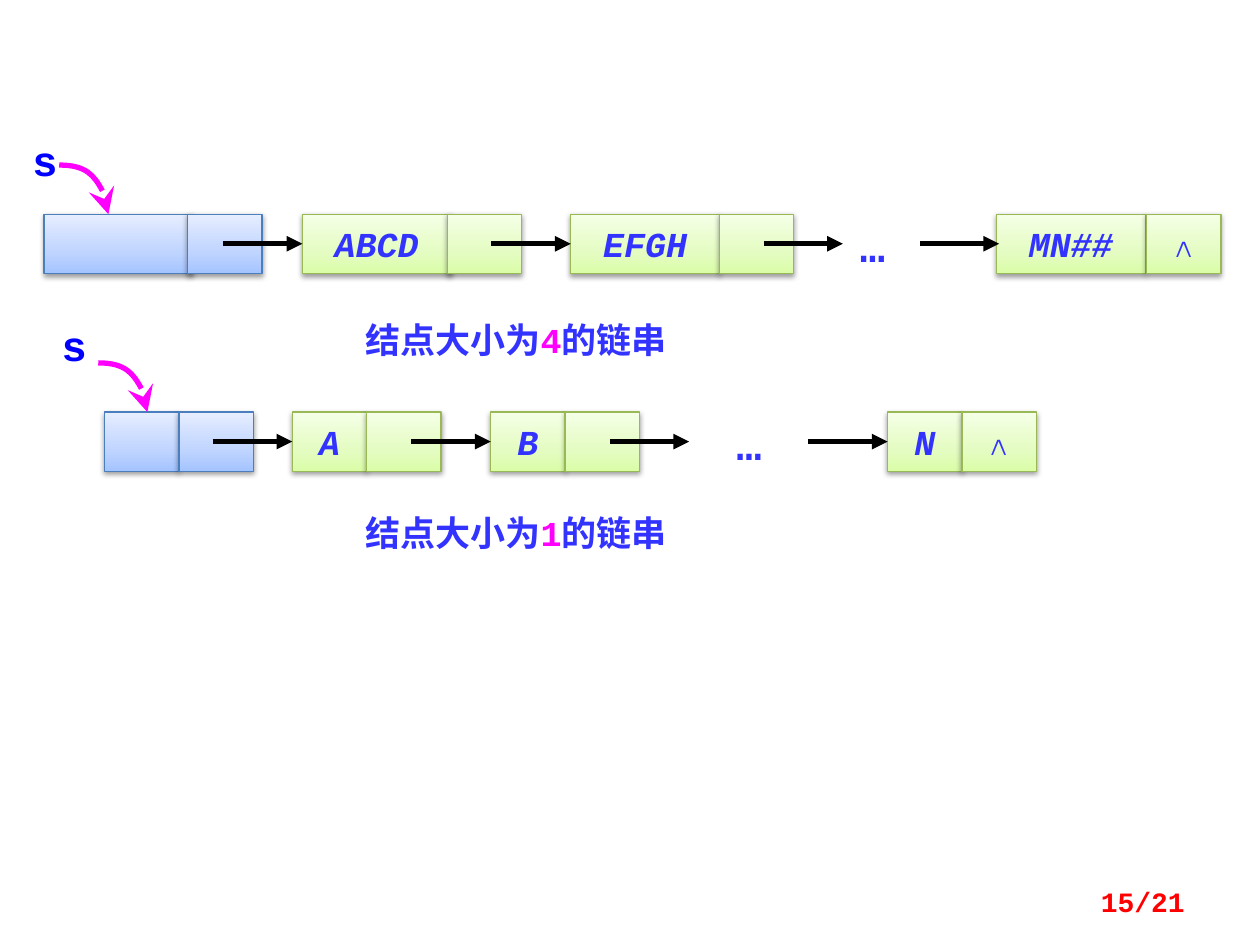
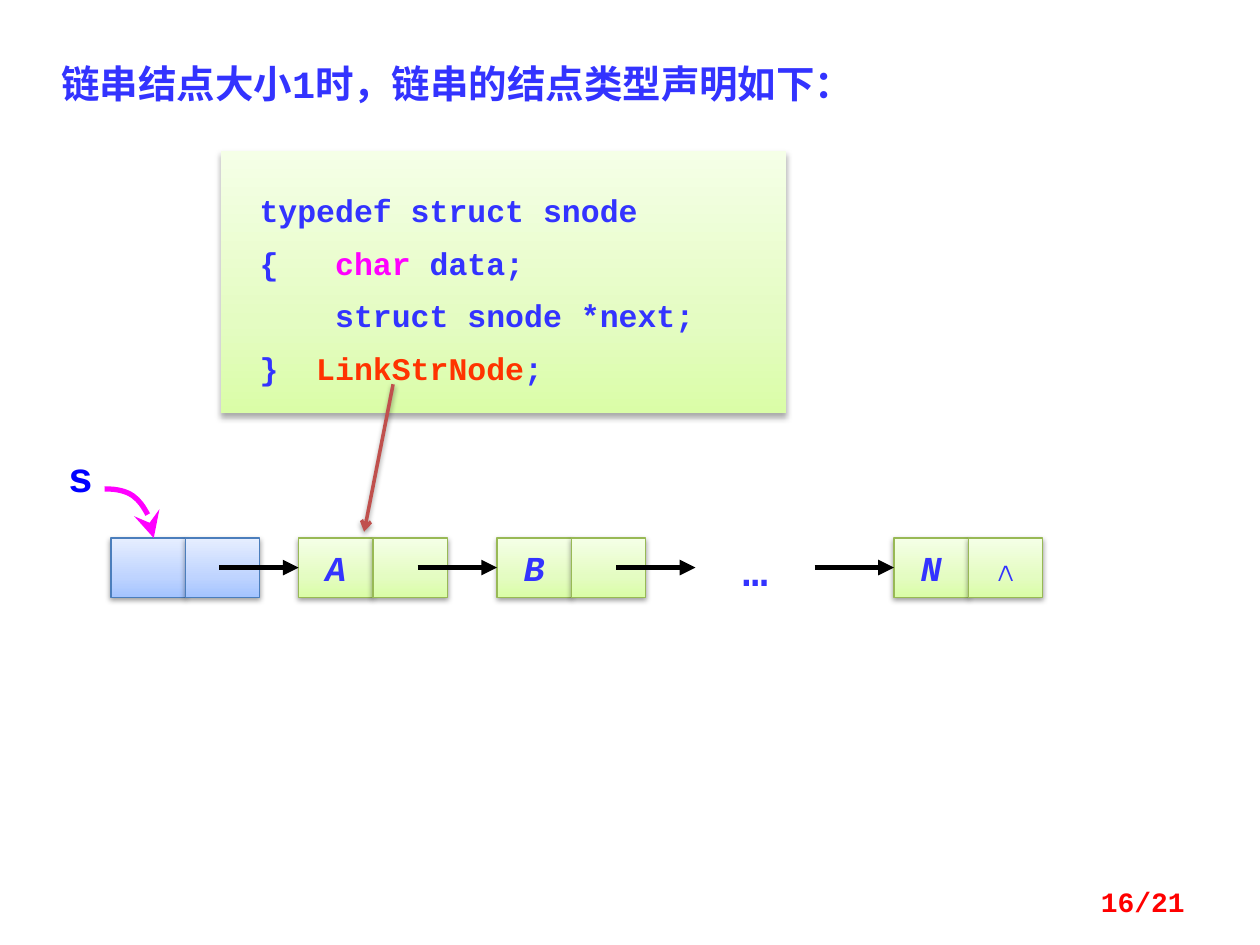
from copy import deepcopy
from lxml.etree import SubElement
from pptx import Presentation
from pptx.dml.color import RGBColor
from pptx.enum.shapes import MSO_CONNECTOR, MSO_SHAPE
from pptx.enum.text import MSO_ANCHOR, PP_ALIGN
from pptx.oxml.ns import qn
from pptx.util import Inches, Pt

FONT = "Courier New"
TEXT, POINTER, MAGENTA = "3333FF", "0000FF", "FF00FF"
RED, ORANGE, BRICK, BLACK = "FF0000", "FF3300", "C0504D", "000000"
BLUE_FILL, BLUE_LINE = ("A4C4FF", "BFD4FF", "E6EEFF"), "4B7EBC"
GREEN_FILL, GREEN_LINE = ("DAFDA7", "E4FCC2", "F5FFE7"), "98B955"
CELL_W, CELL_H = 0.59, 0.47
WIDE_W = 2 * CELL_W
ARROW_W = 0.63
PITCH = 1.575
ARC = 0.39
CURVE = 0.55


def rgb(value):
    return RGBColor.from_string(value)


def write(p, runs, size, bold=True, italic=False, align=None):
    p.alignment = align
    for text, color in runs:
        r = p.add_run()
        r.text = text
        r.font.name = FONT
        r.font.size = Pt(size)
        r.font.bold = bold
        r.font.italic = italic
        r.font.color.rgb = rgb(color)


def add_label(slide, x, y, w, h, runs, size, align=None, spaced=True):
    sp = slide.shapes.add_textbox(Inches(x), Inches(y), Inches(w), Inches(h))
    tf = sp.text_frame
    tf.word_wrap = True
    p = tf.paragraphs[0]
    write(p, runs, size, align=align)
    if spaced:
        before = p._p.get_or_add_pPr().get_or_add_spcBef()
        SubElement(before, qn("a:spcPct"), val="50000")
    return tf


def add_shadow(sp, alpha=38, blur=3.1, dist=1.6):
    spPr = sp._element.spPr
    effects = spPr.find(qn("a:effectLst"))
    if effects is None:
        effects = SubElement(spPr, qn("a:effectLst"))
    shadow = SubElement(effects, qn("a:outerShdw"), blurRad=str(Pt(blur)),
                        dist=str(Pt(dist)), dir="5400000", rotWithShape="0")
    color = SubElement(shadow, qn("a:srgbClr"), val=BLACK)
    SubElement(color, qn("a:alpha"), val=str(alpha * 1000))


def add_panel(slide, x, y, w, h, colors, line=None):
    sp = slide.shapes.add_shape(MSO_SHAPE.RECTANGLE, Inches(x), Inches(y),
                                Inches(w), Inches(h))
    sp.shadow.inherit = False
    sp.fill.gradient()
    sp.fill.gradient_angle = 90
    stops = sp._element.spPr.find(qn("a:gradFill")).find(qn("a:gsLst"))
    stops.append(deepcopy(stops[-1]))
    for stop, color, position in zip(sp.fill.gradient_stops, colors, (0, 0.35, 1)):
        stop.color.rgb = rgb(color)
        stop.position = position
    if line:
        sp.line.color.rgb = rgb(line)
        sp.line.width = Pt(0.75)
    else:
        sp.line.fill.background()
    return sp


def add_cell(slide, x, y, w, text="", head=False):
    colors, line = (BLUE_FILL, BLUE_LINE) if head else (GREEN_FILL, GREEN_LINE)
    sp = add_panel(slide, x, y, w, CELL_H, colors, line)
    add_shadow(sp)
    if text:
        tf = sp.text_frame
        tf.word_wrap = False
        tf.vertical_anchor = MSO_ANCHOR.MIDDLE
        write(tf.paragraphs[0], [(text, TEXT)], 20, italic=text != "∧",
              align=PP_ALIGN.CENTER)


def add_node(slide, x, y, data="", link="", data_w=CELL_W, link_x=None, head=False):
    add_cell(slide, x, y, data_w, data, head)
    add_cell(slide, link_x or x + data_w, y, CELL_W, link, head)


def set_line(sp, color, width, tail, size="med"):
    sp.line.color.rgb = rgb(color)
    sp.line.width = Pt(width)
    SubElement(sp.line._get_or_add_ln(), qn("a:tailEnd"), type=tail, w=size, len=size)


def add_arrow(slide, x1, y1, x2, y2, color=BLACK, width=3, tail="triangle"):
    sp = slide.shapes.add_connector(MSO_CONNECTOR.STRAIGHT, Inches(x1), Inches(y1),
                                    Inches(x2), Inches(y2))
    set_line(sp, color, width, tail)
    SubElement(sp._element.spPr, qn("a:effectLst"))
    return sp


def add_link(slide, end, y):
    add_arrow(slide, end - ARROW_W, y, end, y)


def add_dots(slide, x, y, w):
    add_label(slide, x, y, w, 0.5, [("…", TEXT)], 24, PP_ALIGN.CENTER)


def add_pointer(slide, label_x, label_y, arc_x, top):
    add_label(slide, label_x, label_y, 0.47, 0.5, [("s", POINTER)], 24)
    builder = slide.shapes.build_freeform(Inches(arc_x), Inches(top - ARC))
    builder.add_line_segments([(Inches(arc_x + ARC), Inches(top))], close=False)
    sp = builder.convert_to_shape()
    segment = next(sp._element.iter(qn("a:lnTo")))
    segment.tag
    outline = segment.getparent()
    outline.remove(segment)
    curve = SubElement(outline, qn("a:cubicBezTo"))
    for x, y in ((CURVE, 0), (1, 1 - CURVE), (1, 1)):
        SubElement(curve, qn("a:pt"), x=str(Inches(ARC * x)), y=str(Inches(ARC * y)))
    sp.shadow.inherit = False
    sp.fill.background()
    set_line(sp, MAGENTA, 3, "stealth", "lg")


def add_single_char_list(slide, x, y, label_y):
    add_node(slide, x, y, head=True)
    first = x + 1.49
    for step, data, link in ((0, "A", ""), (1, "B", ""), (3, "N", "∧")):
        add_node(slide, first + step * PITCH, y, data, link)
    add_dots(slide, x + 4.8, y, 0.63)
    add_pointer(slide, x - 0.44, label_y, x - 0.05, y)
    for step in range(4):
        add_link(slide, first + step * PITCH, y + CELL_H / 2)


def add_four_char_list(slide, y):
    add_node(slide, 0.35, y, data_w=WIDE_W, link_x=1.49, head=True)
    for x, link_x, data, link in ((2.4, 3.55, "ABCD", ""), (4.53, 5.71, "EFGH", ""),
                                  (7.91, 9.1, "MN##", "∧")):
        add_node(slide, x, y, data, link, WIDE_W, link_x)
    add_dots(slide, 6.57, y, 0.71)
    add_pointer(slide, 0.16, 1.02, 0.47, y)
    for end in (2.4, 4.53, 6.69, 7.93):
        add_link(slide, end, y + CELL_H / 2)


def add_caption(slide, y, size):
    runs = [("结点大小为", TEXT), (size, MAGENTA), ("的链串", TEXT)]
    add_label(slide, 2.8, y, 3.23, 0.44, runs, 20)


def add_code(slide):
    sp = add_panel(slide, 1.75, 1.2, 4.49, 2.08, GREEN_FILL)
    add_shadow(sp, 32, 3.5, 2.2)
    tf = sp.text_frame
    tf.word_wrap = True
    tf.vertical_anchor = MSO_ANCHOR.TOP
    tf.margin_left = Inches(0.31)
    tf.margin_top = tf.margin_bottom = Inches(0.2)
    lines = [
        [("typedef struct snode", TEXT)],
        [("{   ", TEXT), ("char ", MAGENTA), ("data;", TEXT)],
        [("    struct snode *next;", TEXT)],
        [("}  ", TEXT), ("LinkStrNode", ORANGE), (";", TEXT)],
    ]
    for i, runs in enumerate(lines):
        p = tf.add_paragraph() if i else tf.paragraphs[0]
        write(p, runs, 18, align=PP_ALIGN.LEFT)
        p.line_spacing = Pt(30)


def add_slide(prs, number):
    slide = prs.slides.add_slide(prs.slide_layouts[6])
    tf = add_label(slide, 7.17, 6.95, 2.33, 0.4, [(f"{number}/21", RED)], 16,
                   PP_ALIGN.RIGHT, spaced=False)
    tf.vertical_anchor = MSO_ANCHOR.MIDDLE
    return slide


def build_node_sizes(prs):
    slide = add_slide(prs, 15)
    add_four_char_list(slide, 1.7)
    add_caption(slide, 2.48, "4")
    add_single_char_list(slide, 0.83, 3.27, 2.49)
    add_caption(slide, 4.01, "1")


def build_declaration(prs):
    slide = add_slide(prs, 16)
    title = add_label(slide, 0.39, 0.39, 7.14, 0.51,
                      [("链串结点大小1时，链串的结点类型声明如下：", TEXT)], 22,
                      PP_ALIGN.JUSTIFY)
    title.paragraphs[0].line_spacing = 1.1
    add_code(slide)
    add_single_char_list(slide, 0.88, 4.27, 3.53)
    add_shadow(add_arrow(slide, 3.12, 3.05, 2.89, 4.22, BRICK, 2, "arrow"))


def main():
    prs = Presentation()
    prs.slide_width = Inches(10)
    prs.slide_height = Inches(7.5)
    build_node_sizes(prs)
    build_declaration(prs)
    prs.save("out.pptx")


main()
